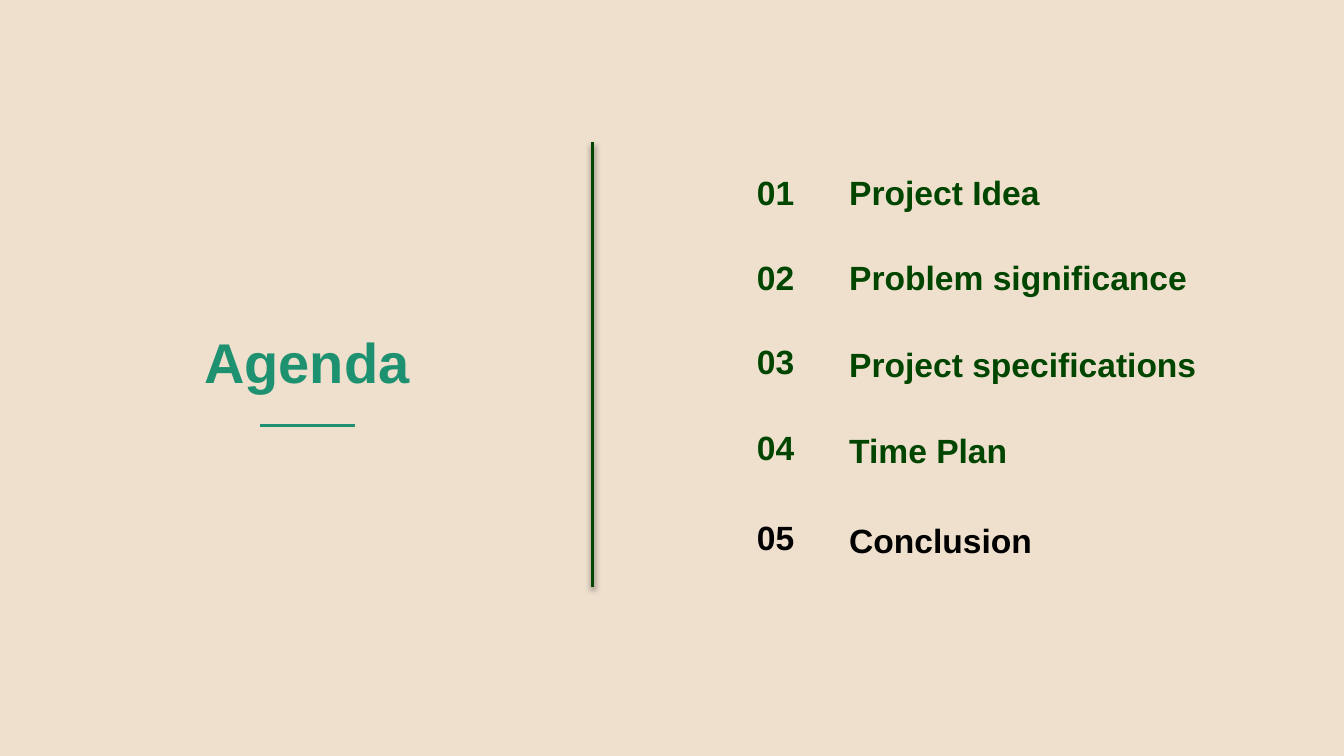
from lxml.etree import SubElement
from pptx import Presentation
from pptx.dml.color import RGBColor
from pptx.enum.shapes import MSO_CONNECTOR
from pptx.enum.text import MSO_ANCHOR, MSO_AUTO_SIZE, PP_ALIGN
from pptx.oxml import parse_xml
from pptx.oxml.ns import nsdecls, qn
from pptx.util import Cm, Pt

SAND, TEAL, GREEN, BLACK = "EFE0CE", "1E9270", "004600", "000000"
ITEMS = [
    ("Project Idea", 3.63, 3.63, GREEN),
    ("Problem significance", 5.23, 5.23, GREEN),
    ("Project specifications", 6.83, 6.88, GREEN),
    ("Time Plan", 8.46, 8.51, GREEN),
    ("Conclusion", 10.16, 10.21, BLACK),
]
SHADE = (
    f'<a:effectLst {nsdecls("a")}><a:outerShdw blurRad="{Pt(3.1)}" '
    f'dist="{Pt(1.6)}" dir="5400000" rotWithShape="0">'
    '<a:srgbClr val="000000"><a:alpha val="38000"/></a:srgbClr>'
    "</a:outerShdw></a:effectLst>"
)


def paint(color, tone):
    """Set a colour format to a hex colour."""
    color.rgb = RGBColor.from_string(tone)


def write(shape, text, size, tone, align=PP_ALIGN.LEFT):
    """Fill a shape with one bold line, centred vertically."""
    frame = shape.text_frame
    frame.word_wrap = True
    frame.auto_size = MSO_AUTO_SIZE.NONE
    frame.vertical_anchor = MSO_ANCHOR.MIDDLE
    frame.margin_left = frame.margin_right = Cm(0.25)
    frame.margin_top = frame.margin_bottom = 0
    frame.text = text
    line = frame.paragraphs[0]
    line.alignment = align
    line.font.name = "Arial"
    line.font.size = Pt(size)
    line.font.bold = True
    paint(line.font.color, tone)


def add_title(slide, text):
    """Place the slide title in its placeholder."""
    title = slide.shapes.title
    title.left, title.top = Cm(3.61), Cm(6.1)
    title.width, title.height = Cm(9.5), Cm(1.47)
    write(title, text, 30, TEAL)


def add_label(slide, text, left, mid, width, tone, align):
    """Add an agenda text box centred on a height."""
    tall = 0.9
    box = slide.shapes.add_textbox(
        Cm(left), Cm(mid - tall / 2), Cm(width), Cm(tall)
    )
    write(box, text, 18, tone, align)


def add_rule(slide, start, end, tone, width, shade=False):
    """Draw a straight line, with a soft shadow if asked."""
    rule = slide.shapes.add_connector(
        MSO_CONNECTOR.STRAIGHT, *map(Cm, start + end)
    )
    paint(rule.line.color, tone)
    rule.line.width = Pt(width)
    props = rule._element.spPr
    if shade:
        props.append(parse_xml(SHADE))
    else:
        SubElement(props, qn("a:effectLst"))


def main():
    """Build and save the agenda slide."""
    deck = Presentation()
    deck.slide_width, deck.slide_height = Cm(25.4), Cm(14.29)
    slide = deck.slides.add_slide(deck.slide_layouts[5])
    fill = slide.background.fill
    fill.solid()
    paint(fill.fore_color, SAND)

    add_title(slide, "Agenda")
    add_rule(slide, (4.92, 8.04), (6.71, 8.04), TEAL, 1.5)
    for index, (text, high, low, tone) in enumerate(ITEMS, 1):
        add_label(slide, f"{index:02}", 13.36, high, 1.9, tone, PP_ALIGN.RIGHT)
        add_label(slide, text, 15.8, low, 8.86, tone, PP_ALIGN.LEFT)
    add_rule(slide, (11.2, 2.69), (11.2, 11.1), GREEN, 2, shade=True)
    deck.save("out.pptx")


if __name__ == "__main__":
    main()
